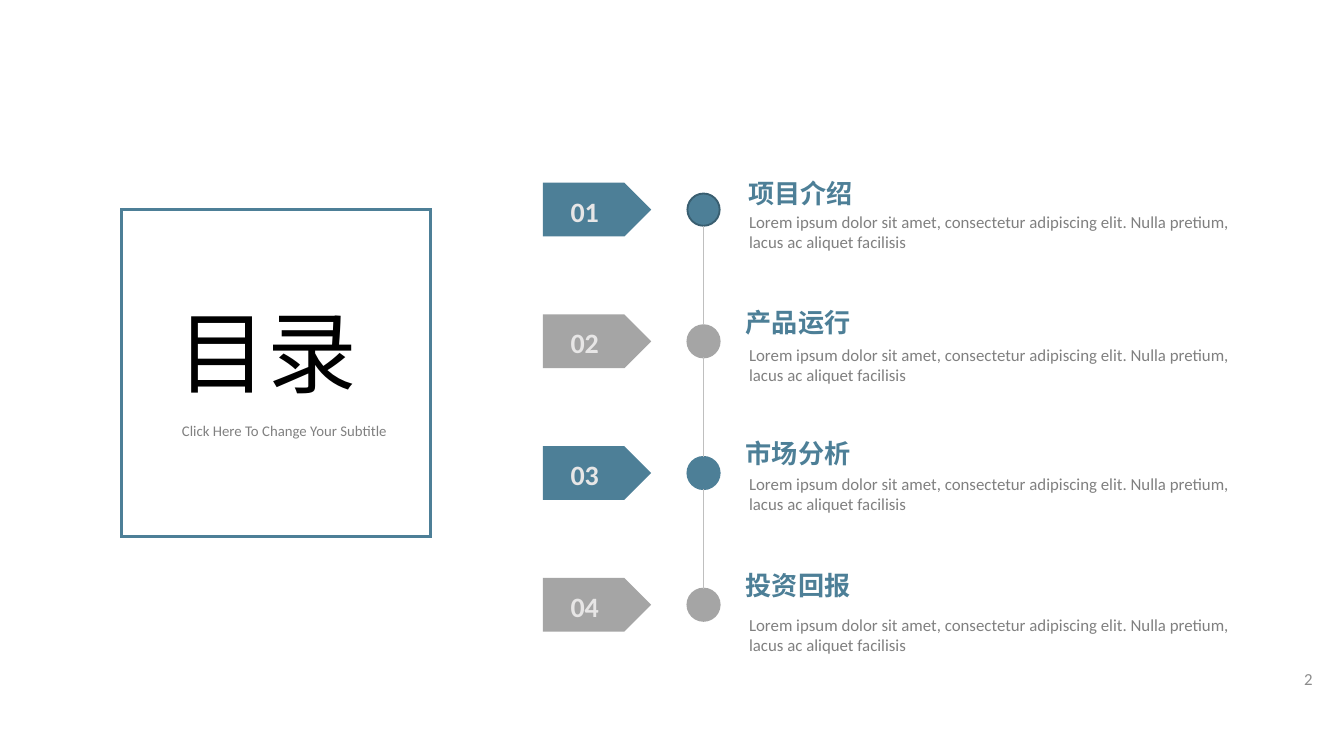
"""Builds a contents slide with four numbered agenda entries on a timeline."""
from lxml import etree
from pptx import Presentation
from pptx.dml.color import RGBColor
from pptx.enum.shapes import MSO_CONNECTOR as CONN, MSO_SHAPE as SHAPE
from pptx.enum.text import MSO_ANCHOR as ANCHOR, MSO_AUTO_SIZE as FIT, PP_ALIGN as ALIGN
from pptx.oxml.ns import qn
from pptx.util import Emu, Pt

PX = 4572
COLORS = {
    "teal": "4D7F97", "teal_dark": "395E70", "grey": "A5A5A5", "rule": "BFBFBF",
    "body": "808080", "page": "8C8C8C", "light": "E7E6E6", "black": "000000",
}
LATIN, CJK = "Calibri", "Noto Sans CJK SC"
BODY = ("Lorem ipsum dolor sit amet, consectetur adipiscing elit. "
        "Nulla pretium, lacus ac aliquet facilisis")
ENTRIES = [
    ("项目介绍", 1094, 254, 305),
    ("产品运行", 1090, 446, 503),
    ("市场分析", 1090, 641, 695),
    ("投资回报", 1090, 837, 905),
]
ROW_TOP, ROW_STEP = 272, 196
DOT_LEFT, DOT_SIZE, DOT_DROP = 1023, 48, 16


def px(*values):
    return [Emu(v * PX) for v in values]


def rgb(name):
    return RGBColor.from_string(COLORS[name])


def write(tf, text, size, color, font=LATIN, bold=False, align=ALIGN.LEFT, spacing=None):
    p = tf.paragraphs[0]
    p.alignment = align
    p.line_spacing = spacing
    r = p.add_run()
    r.text = text
    r.font.size = Pt(size)
    r.font.bold = bold
    r.font.name = font
    r.font.color.rgb = rgb(color)
    etree.SubElement(r.font._element, qn("a:ea")).set("typeface", font)


class Deck:
    def __init__(self, width, height):
        self.prs = Presentation()
        self.prs.slide_width, self.prs.slide_height = px(width, height)
        self.s = self.prs.slides.add_slide(self.prs.slide_layouts[6])

    def shape(self, kind, box, fill=None, line=None, weight=1):
        sp = self.s.shapes.add_shape(kind, *px(*box))
        sp.shadow.inherit = False
        if fill:
            sp.fill.solid()
            sp.fill.fore_color.rgb = rgb(fill)
        else:
            sp.fill.background()
        if line:
            sp.line.color.rgb = rgb(line)
            sp.line.width = Pt(weight)
            etree.SubElement(sp.line._ln, qn("a:miter")).set("lim", "800000")
        else:
            sp.line.fill.background()

    def text(self, box, text, size, color, wrap=True, grow=True, **fmt):
        tf = self.s.shapes.add_textbox(*px(*box)).text_frame
        tf.word_wrap = wrap
        tf.auto_size = FIT.SHAPE_TO_FIT_TEXT if grow else FIT.NONE
        tf.vertical_anchor = ANCHOR.TOP if grow else ANCHOR.MIDDLE
        write(tf, text, size, color, **fmt)

    def line(self, x, top, bottom):
        c = self.s.shapes.add_connector(CONN.STRAIGHT, *px(x, top, x, bottom))
        c.line.color.rgb = rgb("rule")
        c.line.width = Pt(0.5)
        etree.SubElement(c._element.spPr, qn("a:effectLst"))


def main():
    deck = Deck(2000, 1125)
    deck.text((245, 466, 476, 132), "目录", 48, "black", grow=False, font=CJK, spacing=0.9)
    deck.text((85, 611, 676, 60), "Click Here To Change Your Subtitle", 7.9, "body",
              grow=False, align=ALIGN.CENTER)
    deck.text((1873, 980, 100, 60), "2", 9, "page", grow=False, align=ALIGN.RIGHT)
    deck.shape(SHAPE.RECTANGLE, (181, 312, 460, 487), line="teal", weight=1.75)

    for i, (heading, left, heading_top, body_top) in enumerate(ENTRIES):
        top = ROW_TOP + i * ROW_STEP
        dot_top = top + DOT_DROP
        fill = "grey" if i % 2 else "teal"
        deck.shape(SHAPE.OVAL, (DOT_LEFT, dot_top, DOT_SIZE, DOT_SIZE), fill,
                   fill if i else "teal_dark")
        deck.shape(SHAPE.PENTAGON, (808, top, 161, 80), fill)
        deck.text((828, top + 7, 84, 70), f"{i + 1:02}", 15, "light", wrap=False,
                  bold=True, align=ALIGN.CENTER)
        deck.text((left, heading_top, 198, 68), heading, 14, "teal", wrap=False,
                  font=CJK, bold=True)
        deck.text((1095, body_top, 758, 80), BODY, 9, "body")
        if i:
            deck.line(DOT_LEFT + DOT_SIZE // 2, dot_top - ROW_STEP + DOT_SIZE, dot_top)

    deck.prs.save("out.pptx")


if __name__ == "__main__":
    main()
